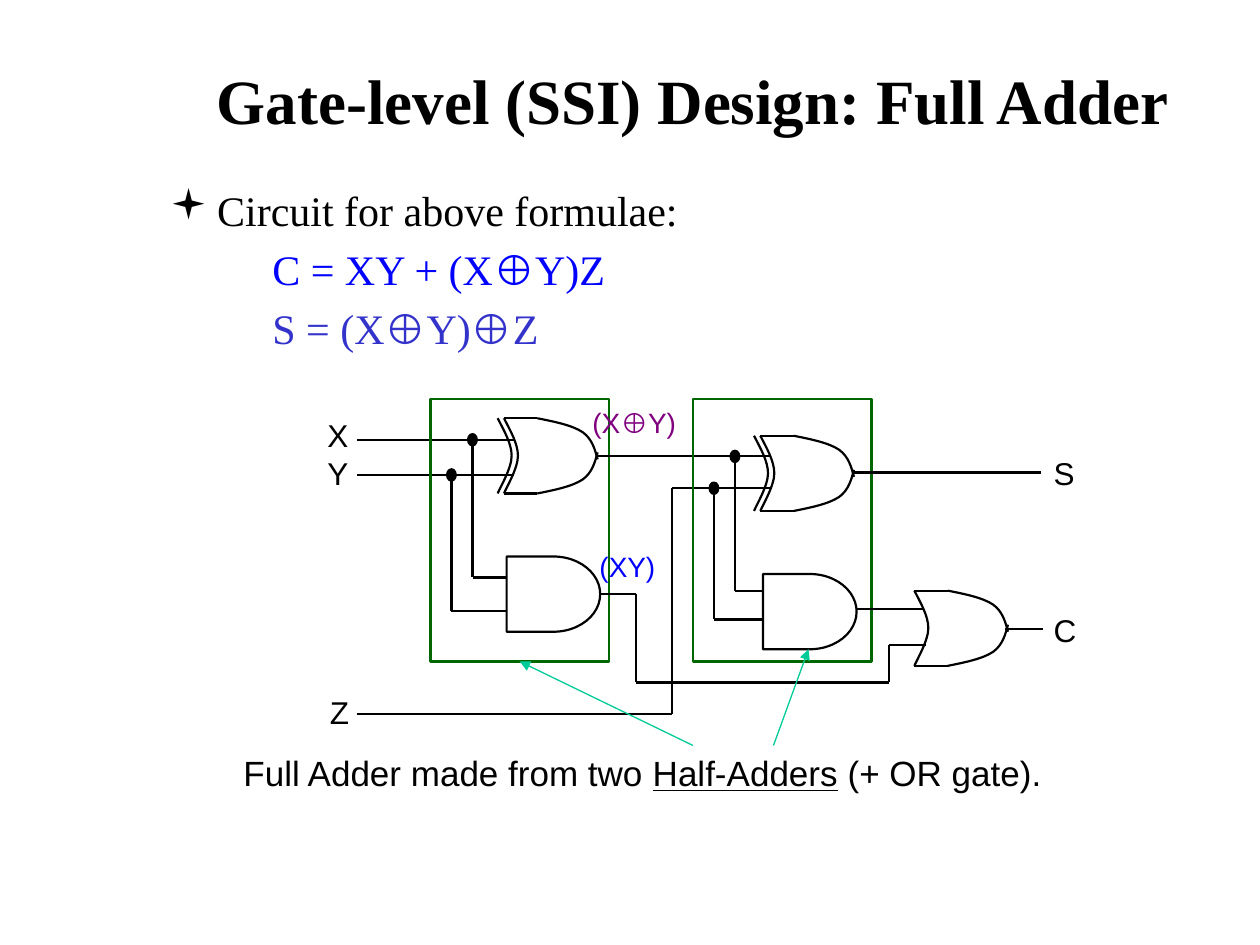
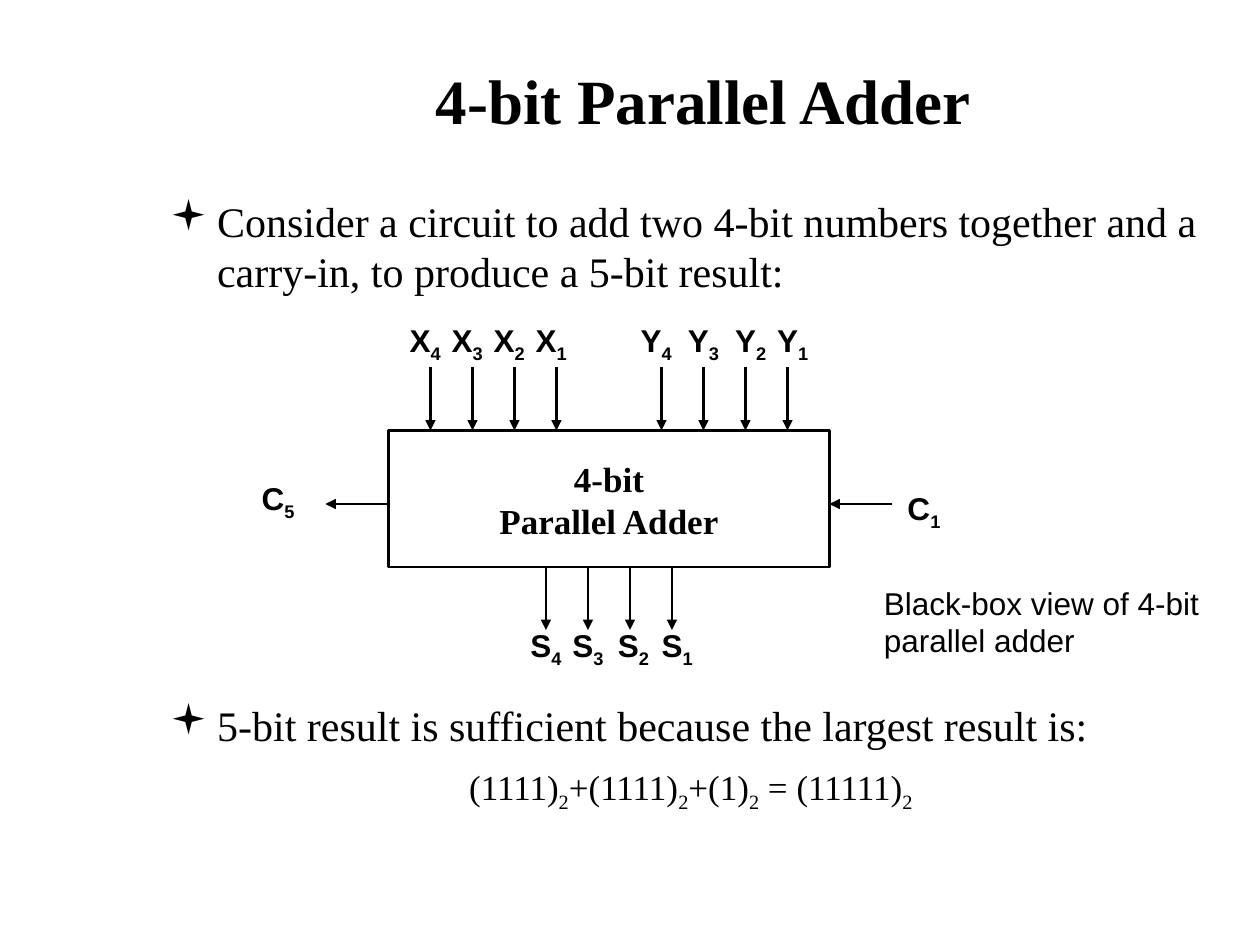
from pptx import Presentation
from pptx.dml.color import RGBColor
from pptx.enum.shapes import MSO_CONNECTOR, MSO_SHAPE
from pptx.enum.text import MSO_ANCHOR, PP_ALIGN
from pptx.oxml.ns import qn
from pptx.util import Pt
from lxml.etree import SubElement

BLACK = RGBColor(0x00, 0x00, 0x00)
BLUE = RGBColor(0x00, 0x00, 0xFF)
INDIGO = RGBColor(0x33, 0x33, 0xCC)
PURPLE = RGBColor(0x80, 0x00, 0x80)
GREEN = RGBColor(0x00, 0x66, 0x00)
TEAL = RGBColor(0x00, 0xCC, 0x99)
SERIF, SANS, SYMBOLS = "Times New Roman", "Arial", "Wingdings"
WIRE = 1.25

# Gate outline curves, from the top left corner of the gate
GATE_H = 43
BACK = [(0, 0), (3.6, 7), (8, 14.5), (8, 21.5), (8, 28.5), (1.5, 39.5), (0, GATE_H)]
NOSE = [(19, 0), (29, 2), (39, 4), (45, 8), (50.5, 12), (52, 18), (53.5, 23.5)]


# ---- Text ----
def add_runs(p, text, font, size, color=BLACK, bold=False):
    """Fill a paragraph; the character after each underscore is a subscript."""
    first, *rest = text.split("_")
    pieces = [(first, False)]
    for part in rest:
        pieces += [(part[0], True), (part[1:], False)]
    for piece, is_sub in pieces:
        if not piece:
            continue
        r = p.add_run()
        r.text = piece
        r.font.name, r.font.size, r.font.bold = font, Pt(size), bold
        r.font.color.rgb = color
        if is_sub:
            r._r.get_or_add_rPr().set("baseline", "-25000")


def fill_text(tf, lines, font, size, color=BLACK, bold=False, align=PP_ALIGN.LEFT):
    for i, line in enumerate(lines):
        p = tf.paragraphs[0] if i == 0 else tf.add_paragraph()
        p.alignment = align
        add_runs(p, line, font, size, color, bold)


def add_box(s, left, top, width, height):
    tf = s.shapes.add_textbox(Pt(left), Pt(top), Pt(width), Pt(height)).text_frame
    tf.word_wrap = True
    return tf


def add_title(s, text, left):
    tf = add_box(s, left, 12, 612, 90)
    tf.vertical_anchor = MSO_ANCHOR.MIDDLE
    fill_text(tf, [text], SERIF, 36, bold=True, align=PP_ALIGN.CENTER)


def add_body(s, box, bullet, formulas=(), indent=0, size=24, before=4.8):
    """A bulleted line followed by indented (text, colour) formulas."""
    tf = add_box(s, *box)
    p = tf.paragraphs[0]
    pPr = p._p.get_or_add_pPr()
    pPr.set("marL", str(Pt(27)))
    pPr.set("indent", str(-Pt(27)))
    SubElement(SubElement(pPr, qn("a:buClr")), qn("a:srgbClr")).set("val", str(BLACK))
    SubElement(pPr, qn("a:buFont")).set("typeface", SYMBOLS)
    SubElement(pPr, qn("a:buChar")).set("char", "▪")
    add_runs(p, bullet, SERIF, 24)
    for text, color in formulas:
        p = tf.add_paragraph()
        p.space_before = Pt(before)
        p._p.get_or_add_pPr().set("marL", str(Pt(indent)))
        add_runs(p, text, SERIF, size, color)


# ---- Lines and shapes ----
def add_wire(s, start, end, color=BLACK, width=WIRE, arrow=False):
    c = s.shapes.add_connector(MSO_CONNECTOR.STRAIGHT, *map(Pt, (*start, *end)))
    c.line.color.rgb, c.line.width = color, Pt(width)
    if arrow:
        SubElement(c.line._get_or_add_ln(), qn("a:tailEnd")).set("type", "triangle")
    SubElement(c._element.spPr, qn("a:effectLst"))


def add_route(s, left, top, *points, **style):
    """Wires through points given from (left, top)."""
    points = [(left + x, top + y) for x, y in points]
    for start, end in zip(points, points[1:]):
        add_wire(s, start, end, **style)


def add_outline(s, kind, left, top, width, height, color=BLACK, line=WIRE, fill=None):
    sp = s.shapes.add_shape(kind, Pt(left), Pt(top), Pt(width), Pt(height))
    sp.shadow.inherit = False
    sp.line.color.rgb, sp.line.width = color, Pt(line)
    if fill is None:
        sp.fill.background()
    else:
        sp.fill.solid()
        sp.fill.fore_color.rgb = fill


def add_curve(s, left, top, controls):
    """Chained cubic curves through control points given from (left, top)."""
    points = [(Pt(left + x), Pt(top + y)) for x, y in controls]
    builder = s.shapes.build_freeform(*points[0])
    builder.add_line_segments(points[1:], close=False)
    sp = builder.convert_to_shape()
    # Turn each three straight segments into one cubic curve
    outline = next(sp._element.iter(qn("a:moveTo"))).getparent()
    segments = outline.findall(qn("a:lnTo"))
    for i, segment in enumerate(segments):
        if i % 3 == 0:
            cubic = SubElement(outline, qn("a:cubicBezTo"))
        cubic.append(segment[0])
        outline.remove(segment)
    sp.shadow.inherit = False
    sp.fill.background()
    sp.line.color.rgb, sp.line.width = BLACK, Pt(WIRE)


# ---- Full adder circuit ----
def add_or_gate(s, left, top, exclusive=False):
    add_curve(s, left, top, BACK)
    if exclusive:
        add_curve(s, left - 3.6, top, BACK)
    add_curve(s, left, top, NOSE)
    add_curve(s, left, top, [(x, GATE_H - y) for x, y in NOSE])
    for y in (0, GATE_H):
        add_route(s, left, top, (0, y), (19, y))


def add_half_adder(s, left, top, gate, inputs, and_rows):
    """XOR gate above an AND gate; both inputs are tapped down to the AND."""
    gate_x, gate_y = gate
    add_or_gate(s, left + gate_x, top + gate_y, exclusive=True)
    add_outline(s, MSO_SHAPE.FLOWCHART_DELAY,
                left + gate_x + 1.5, top + gate_y + 79, 53.5, GATE_H)
    for (x, y), tap, row in zip(inputs, (24, 12), and_rows):
        add_route(s, left, top, (x, y), (gate_x + 5.5, y))
        add_route(s, left, top, (tap, y), (tap, row), (gate_x + 1.5, row))
        add_outline(s, MSO_SHAPE.OVAL, left + tap - 2.5, top + y - 3.25, 5, 6.5, fill=BLACK)
    add_outline(s, MSO_SHAPE.RECTANGLE, left, top, 102, 150, GREEN, 1.5)


def add_full_adder(s, left, top):
    add_half_adder(s, left + 66, top, (42, 11), ((-42, 23.3), (-42, 43.4)), (102, 121))
    add_half_adder(s, left + 216, top, (38.5, 21), ((-55.5, 32.8), (-12, 51)), (109.5, 126))
    add_or_gate(s, left + 342.5, top + 109.5)

    # Wires between the gates, and outputs
    routes = [
        [(24, 180), (204, 180), (204, 51)],
        [(162, 111.5), (183.5, 111.5), (183.5, 162), (328, 162), (328, 140.5), (349, 140.5)],
        [(310, 120), (348, 120)],
        [(308, 42), (415, 42)],
        [(394.5, 131.5), (416, 131.5)],
    ]
    for route in routes:
        add_route(s, left, top, *route)

    # Signal names
    labels = [
        (["X", "Y"], 0, 6, 30, 43, 18, BLACK),
        (["Z"], 1.5, 164.5, 30, 27, 18, BLACK),
        (["S"], 415, 27.6, 30, 27, 18, BLACK),
        (["C"], 415, 117.5, 30, 27, 18, BLACK),
        (["(X⊕Y)"], 151.4, 0, 65, 27, 16, PURPLE),
        (["(XY)"], 155.5, 82.5, 50, 27, 16, BLUE),
    ]
    for lines, x, y, width, height, size, color in labels:
        tf = add_box(s, left + x, top + y, width, height)
        fill_text(tf, lines, SANS, size, color)

    # Pointers from the caption to the half adders
    for start, end in (((216, 198), (117, 150)), ((262, 198), (282, 143))):
        add_route(s, left, top, start, end, color=TEAL, width=0.75, arrow=True)


def add_caption(s, left, top):
    tf = add_box(s, left, top, 480, 42)
    p = tf.paragraphs[0]
    for text in ("Full Adder made from two ", "Half-Adders", " (+ OR gate)."):
        add_runs(p, text, SANS, 20)
    p.runs[1].font.underline = True


# ---- Black-box adder ----
def add_signal(s, name, centre, top):
    tf = add_box(s, centre - 21, top, 42, 29)
    fill_text(tf, [name], SANS, 18, bold=True, align=PP_ALIGN.CENTER)


def add_black_box(s, left, top, width, height):
    add_outline(s, MSO_SHAPE.RECTANGLE, left, top, width, height, line=1.5)
    fill_text(add_box(s, left + 42, top + 12, width - 84, 55.5),
              ["4-bit", "Parallel Adder"], SERIF, 20, bold=True, align=PP_ALIGN.CENTER)

    # Buses: letter, first arrow, arrow top, label top, label centres
    buses = [
        ("X", 24, -36, -66, (21, 45, 69, 93)),
        ("Y", 156, -36, -66, (153, 180, 207, 231)),
        ("S", 90, height, height + 30, (90, 114, 140, 165)),
    ]
    for letter, first, arrow_y, label_y, centres in buses:
        for i, centre in enumerate(centres):
            x = first + 24 * i
            add_route(s, left, top, (x, arrow_y), (x, arrow_y + 36), arrow=True)
            add_signal(s, f"{letter}_{4 - i}", left + centre, top + label_y)

    # Carry out and carry in
    for name, x, centre, label_y in (("C_5", 0, -63, 24), ("C_1", width + 36, width + 54, 30)):
        add_route(s, left, top, (x, 42), (x - 36, 42), arrow=True)
        add_signal(s, name, left + centre, top + label_y)


# ---- Slides ----
def full_adder_slide(s):
    add_title(s, "Gate-level (SSI) Design: Full Adder", 90)
    add_body(s, (90, 102, 600, 108), "Circuit for above formulae:",
             [("C = XY + (X⊕Y)Z", BLUE), ("S = (X⊕Y)⊕Z", INDIGO)], indent=58.5)
    add_full_adder(s, 180, 228)
    add_caption(s, 132, 426)


def parallel_adder_slide(s):
    add_title(s, "4-bit Parallel Adder", 96)
    add_body(s, (90, 108, 612, 72), "Consider a circuit to add two 4-bit numbers together "
             "and a carry-in, to produce a 5-bit result:")
    add_black_box(s, 222, 246, 252, 78)
    fill_text(add_box(s, 498, 330, 198, 50),
              ["Black-box view of 4-bit parallel adder"], SANS, 18)
    add_body(s, (90, 396, 612, 78),
             "5-bit result is sufficient because the largest result is:",
             [("(1111)_2+(1111)_2+(1)_2 = (11111)_2", BLACK)], indent=171, size=20, before=9)


def main():
    prs = Presentation()
    prs.slide_width, prs.slide_height = Pt(720), Pt(540)
    for build in (full_adder_slide, parallel_adder_slide):
        build(prs.slides.add_slide(prs.slide_layouts[6]))
    prs.save("out.pptx")


if __name__ == "__main__":
    main()
